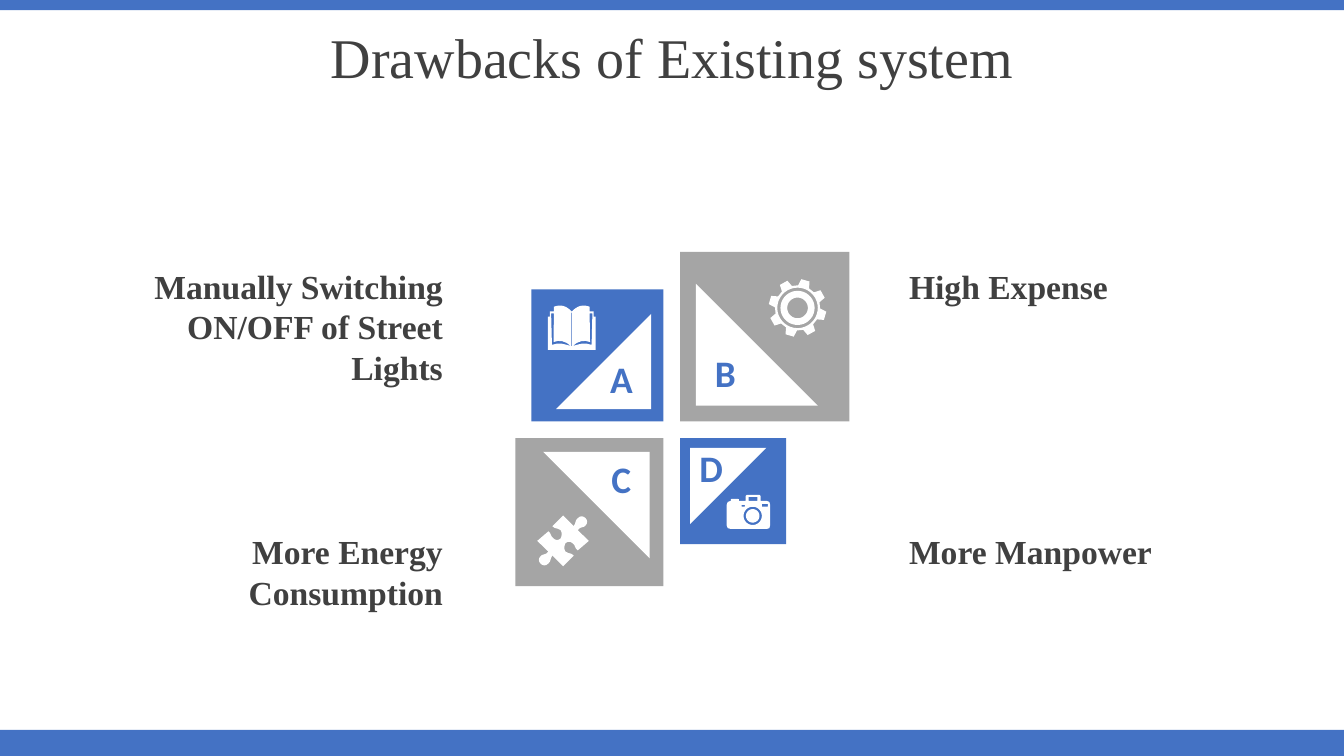
import math

import pptx
import pptx.dml.color
import pptx.enum.shapes
import pptx.enum.text
import pptx.util

Cm = pptx.util.Cm
Align = pptx.enum.text.PP_ALIGN
Anchor = pptx.enum.text.MSO_ANCHOR
Shape = pptx.enum.shapes.MSO_SHAPE

BLUE, GREY, WHITE, DARK = "4472C4", "A5A5A5", "FFFFFF", "404040"
SERIF, SANS = "Times New Roman", "Calibri"


def color(value):
    return pptx.dml.color.RGBColor.from_string(value)


def trace(start, steps):
    points = [start]
    for step in steps:
        if len(step) == 1:
            points.append(step[0])
            continue
        controls = (points[-1],) + step
        for t in (0.25, 0.5, 0.75, 1):
            weights = [math.comb(3, k) * t**k * (1 - t) ** (3 - k) for k in range(4)]
            points.append(tuple(sum(w * c[axis] for w, c in zip(weights, controls))
                                for axis in (0, 1)))
    return points


def polar(radius, degrees):
    angle = math.radians(degrees)
    return radius * math.cos(angle), radius * math.sin(angle)


def circle(radius):
    return [polar(radius, degrees) for degrees in range(0, 360, 10)]


def box(left, top, right, bottom):
    return [(left, top), (right, top), (right, bottom), (left, bottom)]


def mirror(points):
    return [(-x, y) for x, y in points]


def book():
    cover = trace((0, -0.41), [
        ((0.1, -0.51), (0.19, -0.56), (0.29, -0.56)),
        ((0.34, -0.56), (0.39, -0.55), (0.45, -0.53)),
        ((0.45, -0.41),), ((0.55, -0.41),), ((0.55, -0.28),),
        ((0.6, -0.28),), ((0.6, 0.56),)])
    slit = trace((0.52, -0.36), [
        ((0.45, -0.36),), ((0.46, 0.36),),
        ((0.32, 0.3), (0.16, 0.33), (0.02, 0.46)),
        ((0.22, 0.41), (0.29, 0.36), (0.5, 0.43))])
    spine = box(-0.01, -0.38, 0.01, 0.46)
    return [cover + mirror(cover)[::-1], slit, mirror(slit), spine]


def gear():
    profile = [(0.57, -14.5), (0.73, -8.5), (0.73, 8.5), (0.57, 14.5)]
    teeth = [polar(radius, 45 * tooth + 16 + offset)
             for tooth in range(8) for radius, offset in profile]
    return [teeth, circle(0.51), circle(0.43), circle(0.26)]


def puzzle():
    half = trace((0, -0.64), [
        ((0.27, -0.37),),
        ((0.34, -0.47), (0.29, -0.5), (0.37, -0.57)),
        ((0.44, -0.65), (0.52, -0.62), (0.57, -0.57)),
        ((0.62, -0.52), (0.62, -0.44), (0.57, -0.39)),
        ((0.52, -0.32), (0.44, -0.37), (0.37, -0.27)),
        ((0.65, 0),), ((0.37, 0.24),),
        ((0.29, 0.19), (0.32, 0.11), (0.24, 0.06)),
        ((0.19, 0.01), (0.11, 0.01), (0.06, 0.06)),
        ((0.04, 0.11), (0.01, 0.19), (0.06, 0.27)),
        ((0.17, 0.34), (0.19, 0.29), (0.27, 0.37))])
    return [half + [(-x, -y) for x, y in half]]


def camera():
    body = [(-0.66, 0.23), (-0.66, -0.27), (-0.63, -0.35), (-0.55, -0.38),
            (-0.55, -0.42), (-0.52, -0.43), (-0.38, -0.43), (-0.35, -0.42),
            (-0.35, -0.38), (-0.18, -0.38), (-0.18, -0.5), (-0.15, -0.53),
            (0.17, -0.53), (0.2, -0.5), (0.2, -0.38), (0.35, -0.38),
            (0.42, -0.35), (0.44, -0.27), (0.44, 0.23), (0.42, 0.31),
            (0.35, 0.33), (-0.55, 0.33), (-0.63, 0.31)]
    return [body, circle(0.23), circle(0.17), box(-0.1, -0.48, 0.12, -0.38),
            box(-0.28, -0.28, -0.2, -0.23), box(0.23, -0.3, 0.38, -0.23)]


class SlideBuilder:
    center_x, center_y, half_gap = 16.93, 10.83, 0.21

    def __init__(self, slide):
        self.slide = slide

    def paint(self, shape, fill):
        shape.shadow.inherit = False
        shape.fill.solid()
        shape.fill.fore_color.rgb = color(fill)
        shape.line.fill.background()

    def preset(self, kind, left, top, width, height, fill, rotation=0):
        shape = self.slide.shapes.add_shape(kind, Cm(left), Cm(top), Cm(width), Cm(height))
        shape.rotation = rotation
        self.paint(shape, fill)

    def set_text(self, shape, text, size, font, fill, align, bold):
        frame = shape.text_frame
        frame.word_wrap = True
        frame.text = text
        paragraph = frame.paragraphs[0]
        paragraph.alignment = align
        paragraph.font.size = pptx.util.Pt(size)
        paragraph.font.name = font
        paragraph.font.bold = bold
        paragraph.font.color.rgb = color(fill)

    def title(self, text):
        shape = self.slide.shapes.title
        shape.left, shape.top, shape.width, shape.height = Cm(0), Cm(0.46), Cm(33.87), Cm(2.13)
        self.set_text(shape, text, 40, SERIF, DARK, Align.CENTER, False)
        shape.text_frame.vertical_anchor = Anchor.MIDDLE
        shape.text_frame.paragraphs[0].line_spacing = 0.9

    def text(self, text, left, top, width, height, size, font, fill, align):
        shape = self.slide.shapes.add_textbox(Cm(left), Cm(top), Cm(width), Cm(height))
        self.set_text(shape, text, size, font, fill, align, True)

    def square(self, kind, side_x, side_y, inset, size, fill, rotation=0):
        left = self.center_x + side_x * inset - (size if side_x < 0 else 0)
        top = self.center_y + side_y * inset - (size if side_y < 0 else 0)
        self.preset(kind, left, top, size, size, fill, rotation)

    def tile(self, side_x, side_y, size, fill, rotation):
        self.square(Shape.RECTANGLE, side_x, side_y, self.half_gap, size, fill)
        self.square(Shape.RIGHT_TRIANGLE, side_x, side_y,
                    self.half_gap + 0.093 * size, 0.72 * size, WHITE, rotation)

    def icon(self, contours, x, y):
        placed = [[(Cm(x + dx), Cm(y + dy)) for dx, dy in contour] for contour in contours]
        builder = self.slide.shapes.build_freeform(*placed[0][0])
        for index, contour in enumerate(placed):
            if index:
                builder.move_to(*contour[0])
            builder.add_line_segments(contour[1:], close=True)
        self.paint(builder.convert_to_shape(), WHITE)


presentation = pptx.Presentation()
presentation.slide_width, presentation.slide_height = Cm(33.87), Cm(19.05)
builder = SlideBuilder(presentation.slides.add_slide(presentation.slide_layouts[5]))

builder.preset(Shape.RECTANGLE, 0, 18.39, 33.87, 0.66, BLUE)
builder.preset(Shape.RECTANGLE, 0, 0, 33.87, 0.26, BLUE)
builder.title("Drawbacks of Existing system")

tiles = [
    ("A", -1, -1, 3.33, BLUE, 270, (14.91, 8.84), book(), (14.41, 8.26)),
    ("B", 1, -1, 4.27, GREY, 0, (17.53, 8.69), gear(), (20.1, 7.76)),
    ("C", -1, 1, 3.73, GREY, 180, (14.91, 11.38), puzzle(), (14.19, 13.63)),
    ("D", 1, 1, 2.67, BLUE, 90, (17.17, 11.1), camera(), (18.97, 13)),
]
for letter, side_x, side_y, size, fill, rotation, corner, contours, middle in tiles:
    builder.tile(side_x, side_y, size, fill, rotation)
    builder.text(letter, *corner, 1.5, 1.4, 26.7, SANS, BLUE, Align.CENTER)
    builder.icon(contours, *middle)

drawbacks = [
    ("Manually Switching ON/OFF of Street Lights", 2.01, 6.58, 4.37, Align.RIGHT),
    ("More Energy Consumption", 2.01, 13.26, 3.33, Align.RIGHT),
    ("High Expense", 22.66, 6.58, 1.27, Align.LEFT),
    ("More Manpower", 22.66, 13.26, 1.27, Align.LEFT),
]
for drawback, left, top, height, align in drawbacks:
    builder.text(drawback, left, top, 9.4, height, 24, SERIF, DARK, align)

presentation.save("out.pptx")
